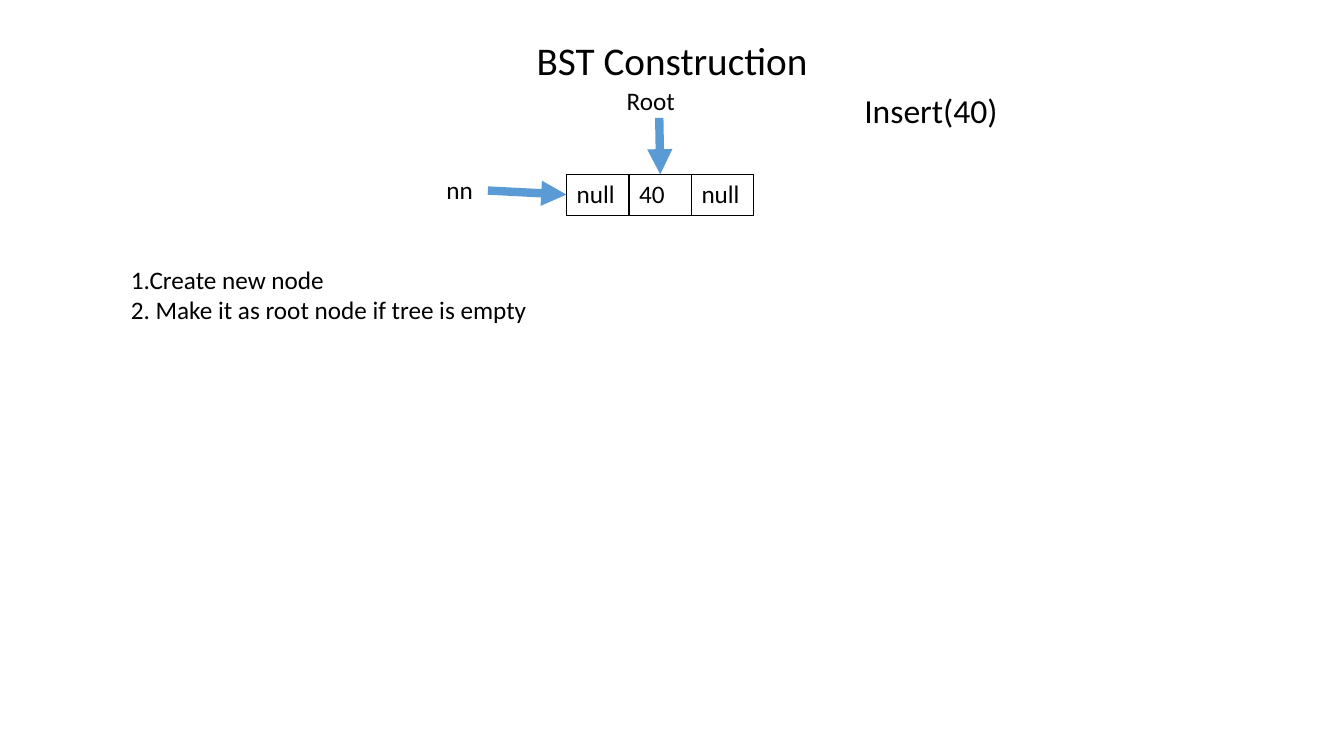
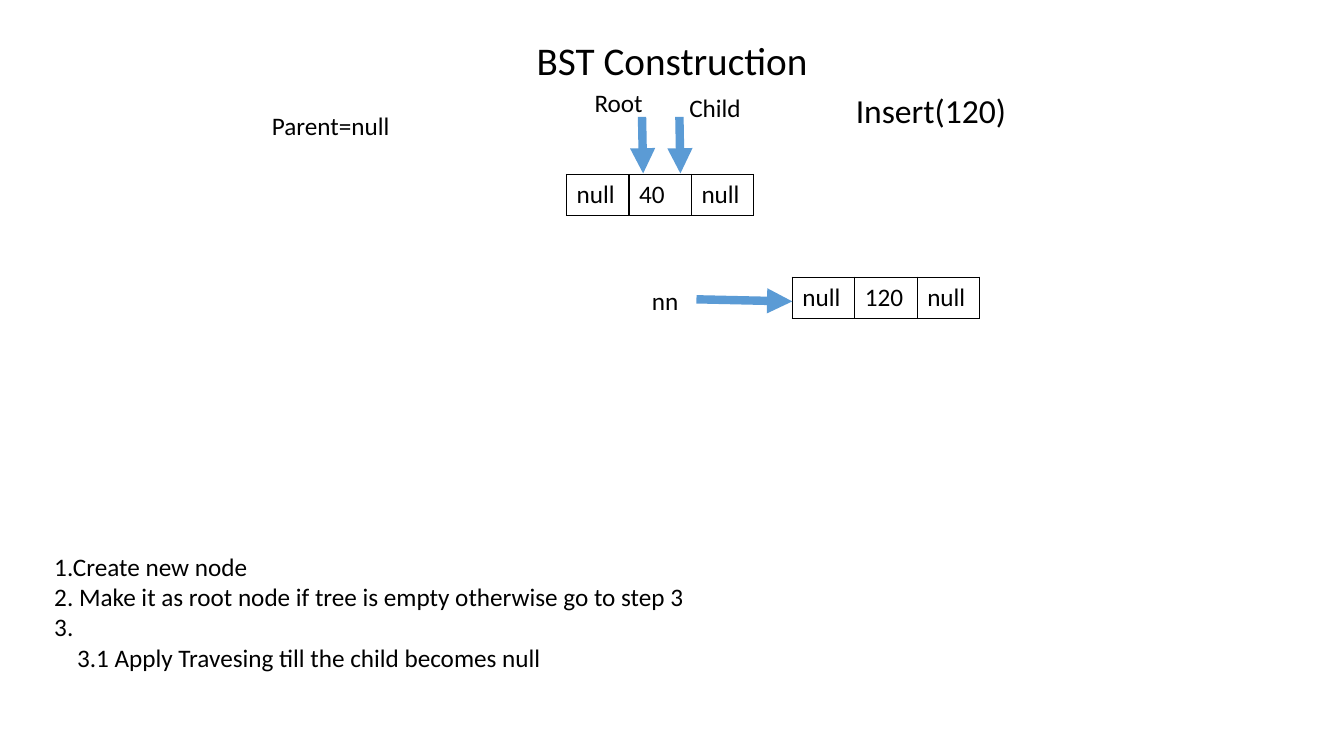
from lxml import etree
from pptx import Presentation
from pptx.dml.color import RGBColor
from pptx.enum.shapes import MSO_CONNECTOR
from pptx.enum.text import MSO_ANCHOR, PP_ALIGN
from pptx.oxml import parse_xml
from pptx.oxml.ns import nsdecls, qn
from pptx.util import Pt

LEFT, CENTER = PP_ALIGN.LEFT, PP_ALIGN.CENTER
TOP, BOTTOM = MSO_ANCHOR.TOP, MSO_ANCHOR.BOTTOM
STRAIGHT = MSO_CONNECTOR.STRAIGHT
COLORS = {"ink": "000000", "arrow": "5B9BD5"}
FONT = "Calibri"
CELL_W, CELL_H = 44.64, 29.52
ROOT = (404.64, 124.56, "40")

# Labels: text, left, top, width, height; arrows: x1, y1, x2, y2;
# nodes: left, top, key; steps: left, top, width, height, lines of (text, indent)
PAGES = [
    {
        "call": "Insert(40)",
        "labels": [("Root", 440.6, 57.6, 78.5, 29), ("nn", 311.8, 121, 78.5, 29)],
        "arrows": [(470.9, 84.2, 471.6, 124.56), (348.5, 136.1, 404.64, 139)],
        "nodes": [ROOT],
        "steps": (86.4, 185, 399, 51, [
            ("1.Create new node", 0),
            ("2. Make it as root node if tree is empty", 0),
        ]),
    },
    {
        "call": "Insert(120)",
        "labels": [("Root", 417.6, 58.7, 78.5, 29), ("Child", 485.3, 62.6, 78.5, 29),
                   ("Parent=null", 187.2, 74.9, 117.4, 29), ("nn", 458.6, 200.2, 78.5, 29)],
        "arrows": [(458.6, 83.5, 459.4, 123.9), (485.3, 83.5, 486, 123.9),
                   (497.5, 213.8, 565.92, 215.3)],
        "nodes": [ROOT, (565.92, 198, "120")],
        "steps": (31.7, 390.2, 668, 94.3, [
            ("1.Create new node", 0),
            ("2. Make it as root node if tree is empty otherwise go to step 3", 0),
            ("3.", 0),
            ("3.1 Apply Travesing till the child becomes null", 16.3),
        ]),
    },
]


def write(frame, lines, size=18, align=LEFT, anchor=TOP, space=1.0):
    """Fill a text frame with lines, each a pair of text and left indent."""
    frame.word_wrap = True
    frame.vertical_anchor = anchor
    for i, (text, indent) in enumerate(lines):
        para = frame.add_paragraph() if i else frame.paragraphs[0]
        para.alignment = align
        para.line_spacing = space
        if indent:
            para._p.get_or_add_pPr().set("marL", str(Pt(indent)))
        run = para.add_run()
        run.text = text
        run.font.name = FONT
        run.font.size = Pt(size)
        run.font.color.rgb = RGBColor.from_string(COLORS["ink"])


def add_text(slide, lines, left, top, width, height, **style):
    if isinstance(lines, str):
        lines = [(lines, 0)]
    box = slide.shapes.add_textbox(Pt(left), Pt(top), Pt(width), Pt(height))
    write(box.text_frame, lines, **style)


prs = Presentation()
prs.slide_width, prs.slide_height = Pt(960), Pt(540)

for page in PAGES:
    slide = prs.slides.add_slide(prs.slide_layouts[6])
    add_text(slide, "BST Construction", 120, 20.2, 720, 43.2,
             size=28, align=CENTER, anchor=BOTTOM, space=0.9)
    add_text(slide, page["call"], 565, 64, 200, 36, size=24, align=CENTER, space=0.9)

    for text, *place in page["labels"]:
        add_text(slide, text, *place)
    *place, lines = page["steps"]
    add_text(slide, lines, *place)

    for left, top, key in page["nodes"]:
        table = slide.shapes.add_table(
            1, 3, Pt(left), Pt(top), Pt(3 * CELL_W), Pt(CELL_H)).table
        table.first_row = table.horz_banding = False
        table.rows[0].height = Pt(CELL_H)
        for col, text in enumerate(("null", key, "null")):
            table.columns[col].width = Pt(CELL_W)
            cell = table.cell(0, col)
            write(cell.text_frame, [(text, 0)])
            props = cell._tc.get_or_add_tcPr()
            for side in ("lnL", "lnR", "lnT", "lnB"):
                props.append(parse_xml(
                    f'<a:{side} {nsdecls("a")} w="{Pt(1)}"><a:solidFill>'
                    f'<a:srgbClr val="{COLORS["ink"]}"/></a:solidFill></a:{side}>'))
            cell.fill.background()

    for ends in page["arrows"]:
        arrow = slide.shapes.add_connector(STRAIGHT, *map(Pt, ends))
        arrow.line.width = Pt(6)
        arrow.line.color.rgb = RGBColor.from_string(COLORS["arrow"])
        etree.SubElement(arrow.line._get_or_add_ln(), qn("a:tailEnd"), type="triangle")
        etree.SubElement(arrow._element.spPr, qn("a:effectLst"))

prs.save("out.pptx")
